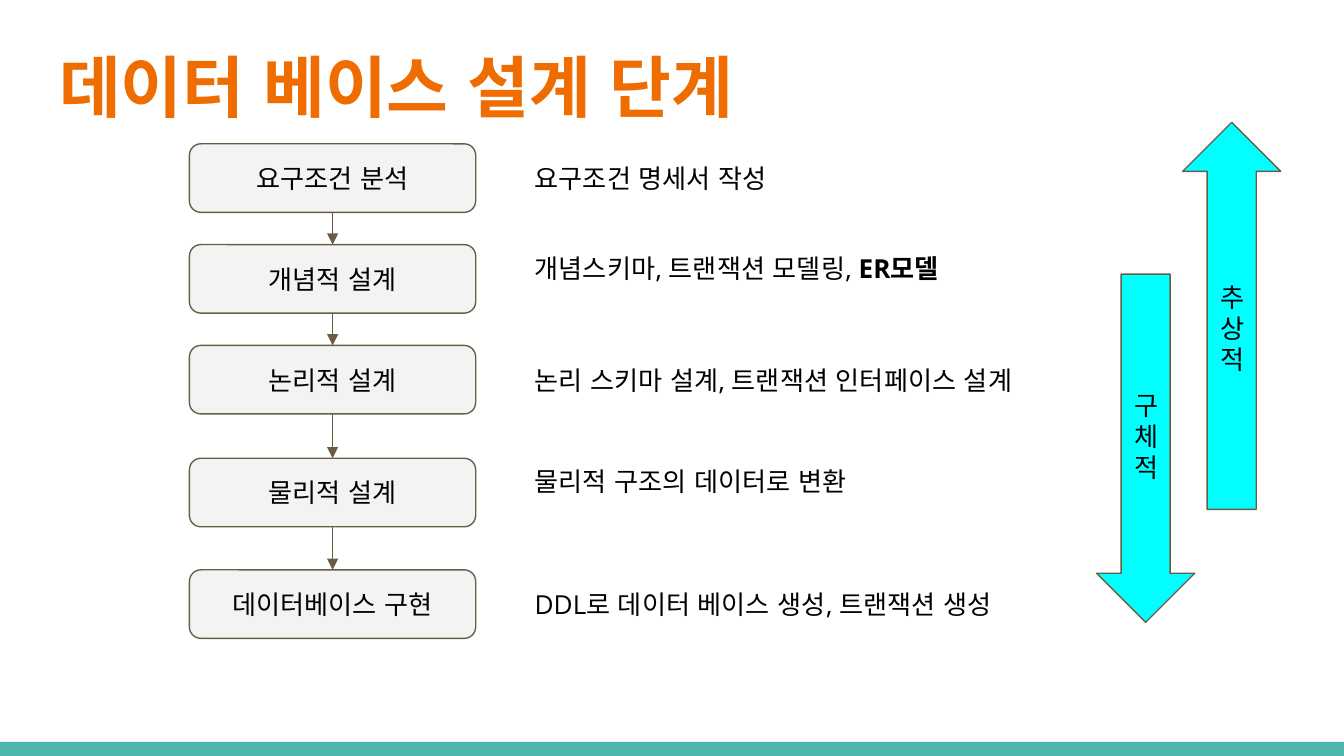
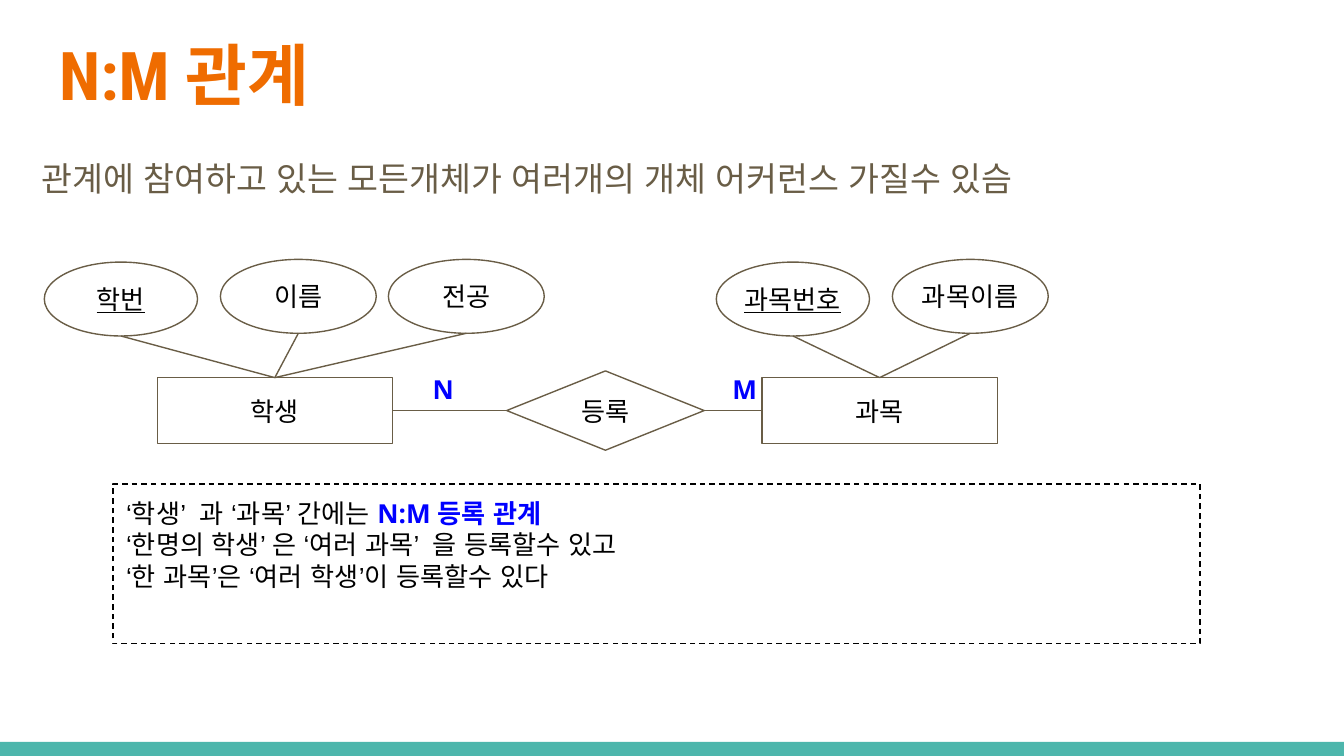
from pptx import Presentation
from pptx.dml.color import RGBColor
from pptx.enum.dml import MSO_LINE
from pptx.enum.shapes import MSO_CONNECTOR, MSO_SHAPE as SHAPE
from pptx.enum.text import MSO_ANCHOR as ANCHOR, MSO_AUTO_SIZE, PP_ALIGN as ALIGN
from pptx.oxml.ns import qn
from pptx.util import Inches, Pt
from lxml.etree import SubElement

ORANGE, TEAL, BROWN = "EF6C00", "4DB6AC", "695D46"
PALE, CYAN, BLUE = "F3F3F3", "00FFFF", "0000FF"
BLACK, WHITE = "000000", "FFFFFF"
KOREAN_FONT = "Arial"
LABEL = {"name": "Arial", "size": Pt(14), "color": BLACK}
NOTE = {**LABEL, "name": "Open Sans"}
STRONG = {**NOTE, "bold": True}
ACCENT = {**STRONG, "color": BLUE}
LEAD = {**NOTE, "size": Pt(18), "color": BROWN}
HEADING = {"name": "Roboto Condensed", "size": Pt(36), "color": ORANGE, "bold": True}
CENTERED = {"alignment": ALIGN.CENTER}
LEFT = {"alignment": ALIGN.LEFT}


def rgb(value):
    return RGBColor.from_string(value)


def inches(box):
    return [Inches(length) for length in box]


def style_span(span, style):
    for key, value in style.items():
        if key == "color":
            span.font.color.rgb = rgb(value)
        else:
            setattr(span.font, key, value)
    for tag in ("a:ea", "a:cs"):
        SubElement(span.font._element, qn(tag)).set("typeface", KOREAN_FONT)


def write(shape, lines, inset=0.1, anchor=ANCHOR.TOP, layout=LEFT):
    frame = shape.text_frame
    settings = {"word_wrap": True, "auto_size": MSO_AUTO_SIZE.NONE, "vertical_anchor": anchor}
    for side in ("left", "top", "right", "bottom"):
        settings[f"margin_{side}"] = Inches(inset)
    for key, value in settings.items():
        setattr(frame, key, value)
    for index, line in enumerate(lines):
        para = frame.add_paragraph() if index else frame.paragraphs[0]
        for key, value in layout.items():
            setattr(para, key, value)
        for text, style in line:
            span = para.add_run()
            span.text = text
            style_span(span, style)


def add_figure(page, kind, box, fill=None, line=BROWN):
    shape = page.shapes.add_shape(kind, *inches(box))
    shape.shadow.inherit = False
    if fill:
        shape.fill.solid()
        shape.fill.fore_color.rgb = rgb(fill)
    else:
        shape.fill.background()
    if line:
        shape.line.color.rgb = rgb(line)
        shape.line.width = Pt(0.75)
    else:
        shape.line.fill.background()
    return shape


def add_text(page, box, line, layout=LEFT):
    shape = page.shapes.add_textbox(*inches(box))
    write(shape, [line], layout=layout)


def add_line(page, start=(0, 0), end=(0, 0), begin_at=None, end_at=None, arrow=False):
    line = page.shapes.add_connector(MSO_CONNECTOR.STRAIGHT, *inches(start + end))
    if begin_at:
        line.begin_connect(*begin_at)
    if end_at:
        line.end_connect(*end_at)
    line.line.color.rgb = rgb(BROWN)
    line.line.width = Pt(0.75)
    properties = line._element.spPr
    if arrow:
        SubElement(properties.find(qn("a:ln")), qn("a:tailEnd")).set("type", "triangle")
    SubElement(properties, qn("a:effectLst"))


def add_page(deck, title, top):
    page = deck.slides.add_slide(deck.slide_layouts[5])
    heading = page.shapes.title
    heading.left, heading.top, heading.width, heading.height = inches((0.34, top, 9.32, 0.77))
    write(heading, [[(title, HEADING)]])
    return page


def add_master_band(deck, page):
    band = add_figure(page, SHAPE.RECTANGLE, (0, 5.52, 10, 0.11), TEAL, None)
    deck.slide_master.element.cSld.spTree.append(band._element)


def add_steps(page, left, width, height, steps):
    previous = None
    for label, top in steps:
        step = add_figure(page, SHAPE.ROUNDED_RECTANGLE, (left, top, width, height), PALE)
        write(step, [[(label, LABEL)]], anchor=ANCHOR.MIDDLE, layout=CENTERED)
        if previous is not None:
            add_line(page, begin_at=(previous, 2), end_at=(step, 0), arrow=True)
        previous = step


def add_block_arrow(page, kind, box, word):
    arrow = add_figure(page, kind, box, CYAN)
    write(arrow, [[(letter, LABEL)] for letter in word], anchor=ANCHOR.MIDDLE)


def add_node(page, kind, box, label, underline=False):
    node = add_figure(page, kind, box, WHITE)
    style = {**LABEL, "underline": True} if underline else LABEL
    write(node, [[(label, style)]], inset=0, anchor=ANCHOR.MIDDLE, layout=CENTERED)
    return node


def add_entity(page, left, entity_offset, label, attributes):
    box = (left + entity_offset, 2.81, 1.75, 0.49)
    entity = add_node(page, SHAPE.RECTANGLE, box, label)
    for index, (name, offset) in enumerate(attributes):
        is_key = index == 0
        top, width = (1.95, 1.14) if is_key else (1.93, 1.16)
        box = (left + offset, top, width, 0.55)
        add_node(page, SHAPE.OVAL, box, name, is_key)
        add_line(page, (left + offset + width / 2, top + 0.55), end_at=(entity, 0))
    return entity


def add_summary(page, box, lines):
    summary = add_figure(page, SHAPE.RECTANGLE, box, line=BLACK)
    summary.line.dash_style = MSO_LINE.DASH
    write(summary, lines)


def build_design_steps(page):
    add_steps(page, 1.41, 2.13, 0.51, [
        ("요구조건 분석", 1.07),
        ("개념적 설계", 1.82),
        ("논리적 설계", 2.57),
        ("물리적 설계", 3.41),
        ("데이터베이스 구현", 4.24),
    ])
    notes = [
        (1.11, [("요구조건 명세서 작성", NOTE)]),
        (1.78, [("개념스키마, 트랜잭션 모델링, ", NOTE), ("ER모델", STRONG)]),
        (2.61, [("논리 스키마 설계, 트랜잭션 인터페이스 설계", NOTE)]),
        (3.36, [("물리적 구조의 데이터로 변환", NOTE)]),
        (4.28, [("DDL로 데이터 베이스 생성, 트랜잭션 생성", NOTE)]),
    ]
    for top, line in notes:
        add_text(page, (3.88, top, 4.26, 0.51), line)
    add_block_arrow(page, SHAPE.DOWN_ARROW, (8.16, 2.04, 0.73, 2.59), "구체적")
    add_block_arrow(page, SHAPE.UP_ARROW, (8.8, 0.91, 0.73, 2.88), "추상적")


def build_relation(page):
    lead = "관계에 참여하고 있는 모든개체가 여러개의 개체 어커런스 가질수 있슴"
    add_text(page, (0.21, 1.03, 9.83, 0.49), [(lead, LEAD)],
             {**LEFT, "line_spacing": 1.15, "space_after": Pt(16)})
    student = add_entity(page, 0.33, 0.84, "학생", [("학번", 0), ("이름", 1.31), ("전공", 2.56)])
    course = add_entity(page, 5.33, 0.34, "과목", [("과목번호", 0), ("과목이름", 1.31)])
    enrolment = add_node(page, SHAPE.DIAMOND, (3.77, 2.76, 1.47, 0.59), "등록")
    add_line(page, begin_at=(student, 3), end_at=(enrolment, 1))
    add_line(page, begin_at=(enrolment, 3), end_at=(course, 1))
    for label, left in (("N", 3.12), ("M", 5.35)):
        add_text(page, (left, 2.68, 0.32, 0.32), [(label, ACCENT)])
    add_summary(page, (0.84, 3.6, 8.09, 1.19), [
        [("‘학생’  과 ‘과목’ 간에는 ", NOTE), ("N:M 등록 관계", ACCENT)],
        [("‘한명의 학생’ 은 ‘여러 과목’  을 등록할수 있고", NOTE)],
        [("‘한 과목’은 ‘여러 학생’이 등록할수 있다", NOTE)],
    ])


def main():
    deck = Presentation()
    deck.slide_width, deck.slide_height = Inches(10), Inches(5.625)
    steps_page = add_page(deck, "데이터 베이스 설계 단계", 0.24)
    add_master_band(deck, steps_page)
    build_design_steps(steps_page)
    build_relation(add_page(deck, "N:M 관계", 0.15))
    deck.save("out.pptx")


if __name__ == "__main__":
    main()
